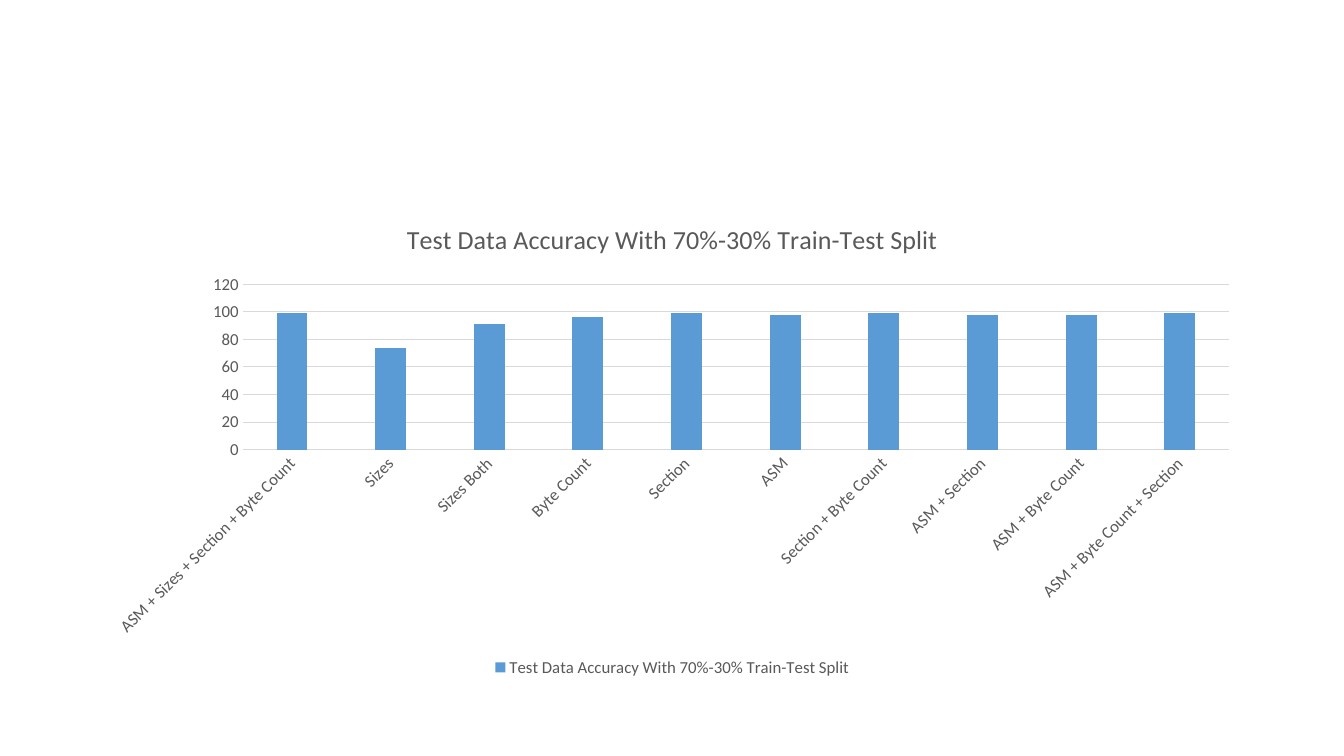
from dataclasses import dataclass

from pptx import Presentation
from pptx.chart.data import CategoryChartData
from pptx.dml.color import RGBColor
from pptx.enum.chart import XL_CHART_TYPE, XL_LEGEND_POSITION, XL_TICK_MARK
from pptx.util import Inches, Pt

COLUMN = XL_CHART_TYPE.COLUMN_CLUSTERED
BOTTOM = XL_LEGEND_POSITION.BOTTOM
NO_TICK = XL_TICK_MARK.NONE


@dataclass(frozen=True)
class Theme:
    """Colours, font and type sizes of the slide."""
    font: str = "Calibri"
    text: RGBColor = RGBColor(0x59, 0x59, 0x59)
    rule: RGBColor = RGBColor(0xD9, 0xD9, 0xD9)
    bar: RGBColor = RGBColor(0x5B, 0x9B, 0xD5)
    title_size: float = 18.6
    label_size: float = 12
    rule_width: float = 0.75


THEME = Theme()
TITLE = "Test Data Accuracy With 70%-30% Train-Test Split"
PLUS = "\u00a0+\u00a0"  # keeps each combined label on one line
ACCURACY = {
    PLUS.join(["ASM", "Sizes", "Section", "Byte Count"]): 99,
    "Sizes": 74,
    "Sizes Both": 91,
    "Byte Count": 96,
    "Section": 99,
    "ASM": 98,
    PLUS.join(["Section", "Byte Count"]): 99,
    PLUS.join(["ASM", "Section"]): 98,
    PLUS.join(["ASM", "Byte Count"]): 98,
    PLUS.join(["ASM +\u00a0Byte Count", "Section"]): 99,
}


def set_attrs(obj, values):
    """Set every attribute named in a dict of format values."""
    for name, value in values.items():
        setattr(obj, name, value)


def style_font(font, size):
    """Apply the theme's font and text colour."""
    set_attrs(font, {"name": THEME.font, "size": Pt(size), "bold": False})
    font.color.rgb = THEME.text


def style_line(line):
    """Draw a line as a thin grey rule."""
    line.color.rgb = THEME.rule
    line.width = Pt(THEME.rule_width)


def style_axes(chart):
    """Format both axes, slanting the category labels by 45 degrees."""
    cat, val = chart.category_axis, chart.value_axis
    for axis in (cat, val):
        set_attrs(axis, {"major_tick_mark": NO_TICK, "minor_tick_mark": NO_TICK})
        style_font(axis.tick_labels.font, THEME.label_size)
    style_line(cat.format.line)
    cat_text = cat.tick_labels.font._element.getparent().getparent().getparent()
    cat_text.bodyPr.set("rot", "-2700000")
    set_attrs(val, {"minimum_scale": 0, "maximum_scale": 120,
                    "major_unit": 20, "has_major_gridlines": True})
    val.format.line.fill.background()
    style_line(val.major_gridlines.format.line)


def add_accuracy_chart(slide, left, top, width, height):
    """Place the accuracy column chart in the given box."""
    data = CategoryChartData()
    data.categories = list(ACCURACY)
    data.add_series(TITLE, list(ACCURACY.values()))
    chart = slide.shapes.add_chart(COLUMN, left, top, width, height, data).chart
    style_font(chart.font, THEME.label_size)

    chart.has_title = True
    tf = chart.chart_title.text_frame
    tf.text = TITLE
    style_font(tf.paragraphs[0].runs[0].font, THEME.title_size)
    chart.chart_title.include_in_layout = False

    chart.has_legend = True
    set_attrs(chart.legend, {"position": BOTTOM, "include_in_layout": False})
    style_font(chart.legend.font, THEME.label_size)

    plot = chart.plots[0]
    set_attrs(plot, {"gap_width": 219, "overlap": -27, "vary_by_categories": False})
    fill = plot.series[0].format.fill
    fill.solid()
    fill.fore_color.rgb = THEME.bar
    style_axes(chart)


def main():
    """Build and save the slide."""
    prs = Presentation()
    set_attrs(prs, {"slide_width": Inches(13.33), "slide_height": Inches(7.5)})
    slide = prs.slides.add_slide(prs.slide_layouts[6])
    add_accuracy_chart(slide, Inches(0.92), Inches(2), Inches(11.5), Inches(4.76))
    prs.save("out.pptx")


main()
